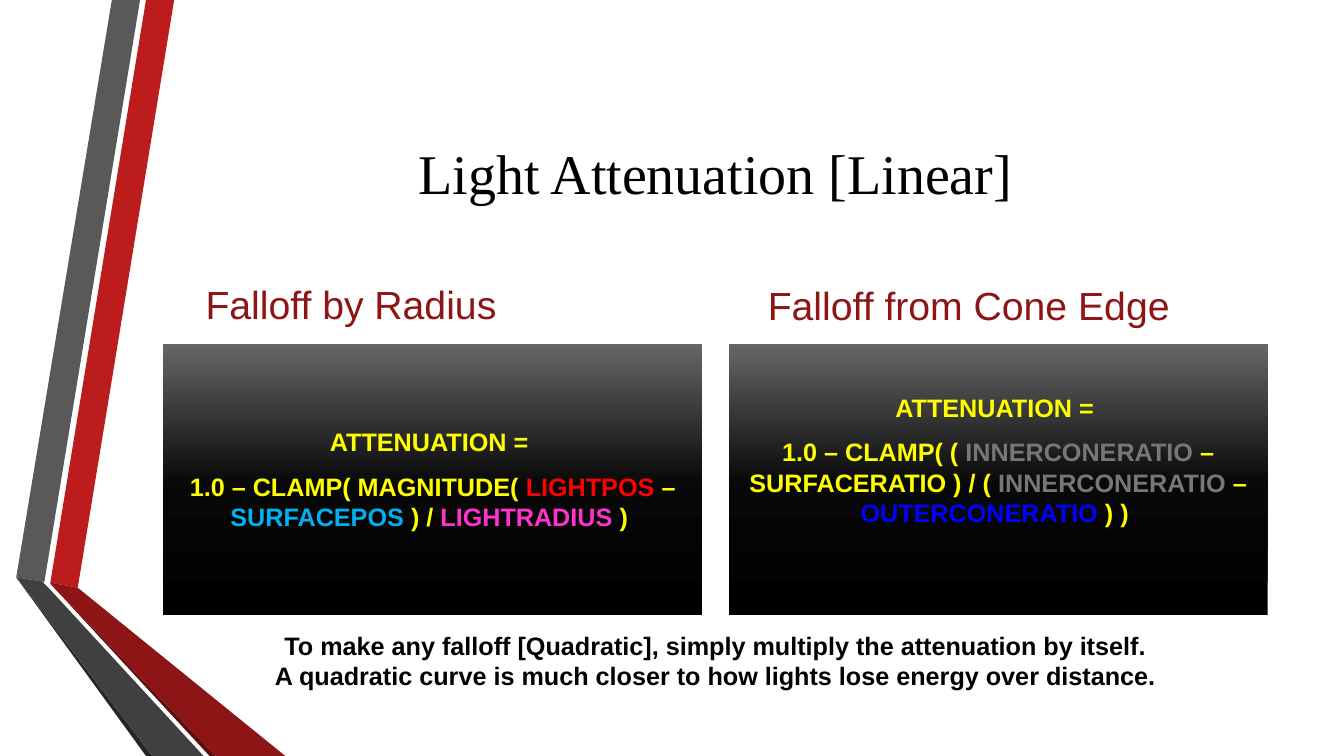
from copy import deepcopy

from pptx import Presentation
from pptx.dml.color import RGBColor
from pptx.enum.shapes import MSO_SHAPE
from pptx.enum.text import MSO_ANCHOR, MSO_AUTO_SIZE, PP_ALIGN
from pptx.oxml.ns import qn
from pptx.util import Cm, Pt

LEFT, CENTER = PP_ALIGN.LEFT, PP_ALIGN.CENTER
TOP, MIDDLE, BOTTOM = MSO_ANCHOR.TOP, MSO_ANCHOR.MIDDLE, MSO_ANCHOR.BOTTOM
RECTANGLE = MSO_SHAPE.RECTANGLE
NO_FIT = MSO_AUTO_SIZE.NONE
TITLE_ONLY = 5

BLACK, DARK_RED, YELLOW, GREY = "000000", "8D1515", "FFFF00", "777777"
PANEL_STOPS = [(0, "000000"), (0.48, "080808"), (1, "666666")]

RIBBONS = [
    ("BC1C1C", [(1.27, 14.68), (1.96, 14.81), (4.39, 0), (3.68, 0)]),
    ("595959", [(3.53, 0), (2.82, 0), (0.41, 14.55), (1.12, 14.66)]),
    ("262626", [(0.41, 14.55), (3.68, 19.05), (3.84, 19.05)]),
    ("5E0E0E", [(1.27, 14.71), (5.28, 19.05), (5.44, 19.05)]),
    (DARK_RED, [(1.27, 14.68), (1.27, 14.71), (5.44, 19.05), (7.19, 19.05), (1.96, 14.81)]),
    ("404040", [(5.13, 19.05), (1.22, 14.81), (1.09, 14.68), (1.12, 14.66),
                (0.41, 14.55), (3.84, 19.05)]),
]

RADIUS_FORMULA = [
    [("ATTENUATION = ", YELLOW)],
    [("1.0 – CLAMP( MAGNITUDE( ", YELLOW), ("LIGHTPOS", "FF0000"), (" – ", YELLOW),
     ("SURFACEPOS", "00B0F0"), (" ) / ", YELLOW), ("LIGHTRADIUS", "FF33CC"), (" ) ", YELLOW)],
]
CONE_FORMULA = [
    [("ATTENUATION = ", YELLOW)],
    [("1.0 – CLAMP( ( ", YELLOW), ("INNERCONERATIO", GREY),
     (" – SURFACERATIO ) / ( ", YELLOW), ("INNERCONERATIO", GREY), (" – ", YELLOW),
     ("OUTERCONERATIO", "0000FF"), (" ) ) ", YELLOW)],
]
QUADRATIC_NOTE = [
    [("To make any falloff [Quadratic], simply multiply the attenuation by itself.", BLACK)],
    [("A quadratic curve is much closer to how lights lose energy over distance.", BLACK)],
]


def color(value):
    """Turn a hex string into a colour."""
    return RGBColor.from_string(value)


class SlideBuilder:
    """Holds the text style and the current slide."""

    font = "Arial"
    title_font = "Times New Roman"

    def __init__(self, slide):
        """Keep the slide to draw on."""
        self.slide = slide

    def ribbon(self, fill, points):
        """Draw a filled outline through points given in centimetres."""
        corners = [(Cm(x), Cm(y)) for x, y in points]
        builder = self.slide.shapes.build_freeform(*corners[0])
        builder.add_line_segments(corners[1:], close=True)
        shape = builder.convert_to_shape()
        shape.shadow.inherit = False
        shape.fill.solid()
        shape.fill.fore_color.rgb = color(fill)
        shape.line.fill.background()

    def set_lines(self, shape, lines, size, anchor, align=CENTER, bold=False, font=font, gap=0):
        """Fill a shape with lines made of coloured spans."""
        frame = shape.text_frame
        frame.word_wrap = True
        frame.auto_size = NO_FIT
        frame.vertical_anchor = anchor
        for index, line in enumerate(lines):
            para = frame.add_paragraph() if index else frame.paragraphs[0]
            para.alignment = align
            para.space_before = Pt(gap if index else 0)
            for text, tint in line:
                span = para.add_run()
                span.text = text
                span.font.name = font
                span.font.size = Pt(size)
                span.font.bold = bold
                span.font.color.rgb = color(tint)

    def title(self, text, left, top, width, height):
        """Place and format the title placeholder."""
        box = self.slide.shapes.title
        box.left, box.top, box.width, box.height = map(Cm, (left, top, width, height))
        self.set_lines(box, [[(text, BLACK)]], 40, MIDDLE, font=self.title_font)

    def text(self, lines, left, top, width, height, size, **style):
        """Add a text box."""
        box = self.slide.shapes.add_textbox(*map(Cm, (left, top, width, height)))
        self.set_lines(box, lines, size, **style)

    def panel(self, lines, left, top, width, height, bottom_inset):
        """Add a gradient panel with a formula."""
        panel = self.slide.shapes.add_shape(RECTANGLE, *map(Cm, (left, top, width, height)))
        panel.shadow.inherit = False
        panel.line.fill.background()
        panel.fill.gradient()
        panel.fill.gradient_angle = 90
        stop_list = panel.element.spPr.find(qn("a:gradFill")).find(qn("a:gsLst"))
        stop_list.append(deepcopy(stop_list[-1]))
        for stop, (position, tint) in zip(panel.fill.gradient_stops, PANEL_STOPS):
            stop.position = position
            stop.color.rgb = color(tint)
        panel.text_frame.margin_bottom = Cm(bottom_inset)
        self.set_lines(panel, lines, 18, MIDDLE, bold=True, gap=10)


def main():
    """Build the slide and save it."""
    deck = Presentation()
    deck.slide_width, deck.slide_height = Cm(33.87), Cm(19.05)
    page = SlideBuilder(deck.slides.add_slide(deck.slide_layouts[TITLE_ONLY]))
    for fill, points in RIBBONS:
        page.ribbon(fill, points)
    page.title("Light Attenuation [Linear]", 4.11, 1.9, 27.84, 4.88)
    columns = [
        ("Falloff by Radius", 4.93, 6.78, RADIUS_FORMULA, 4.11, 0.13),
        ("Falloff from Cone Edge", 19.1, 6.81, CONE_FORMULA, 18.36, 1.09),
    ]
    for heading, left, top, formula, panel_left, inset in columns:
        page.text([[(heading, DARK_RED)]], left, top, 12.8, 1.6, 28, anchor=BOTTOM, align=LEFT)
        page.panel(formula, panel_left, 8.66, 13.59, 6.83, inset)
    page.text(QUADRATIC_NOTE, 4.11, 15.75, 27.84, 1.8, 18, anchor=TOP, bold=True)
    deck.save("out.pptx")


if __name__ == "__main__":
    main()
